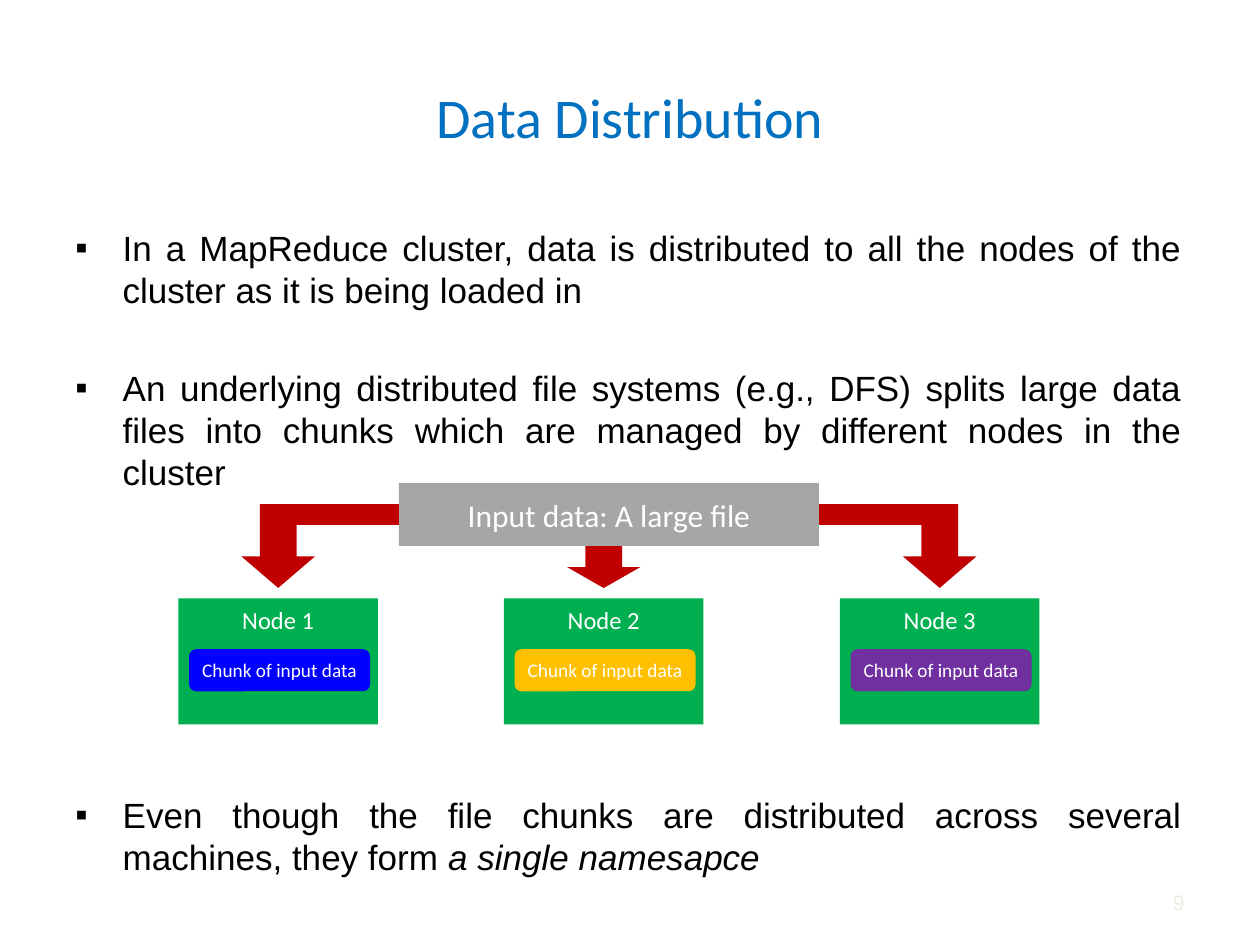
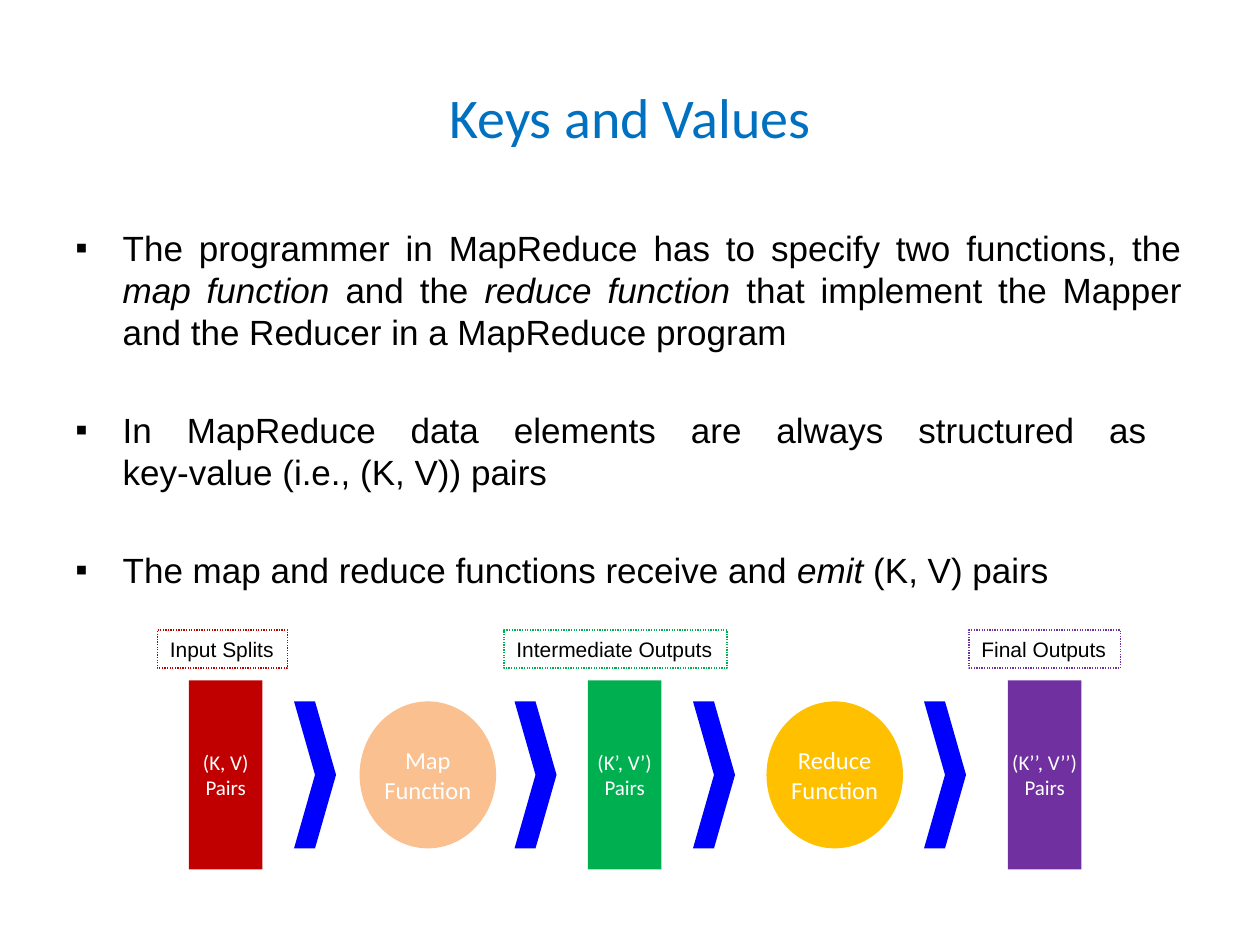
from dataclasses import dataclass
from typing import NamedTuple, Optional

from pptx import Presentation
from pptx.dml.color import RGBColor
from pptx.enum.dml import MSO_LINE
from pptx.enum.shapes import MSO_SHAPE as Preset
from pptx.enum.text import MSO_ANCHOR as Anchor, MSO_AUTO_SIZE as AutoSize, PP_ALIGN as Align
from pptx.oxml.xmlchemy import OxmlElement
from pptx.util import Pt


# Theme: colours, fonts and type sizes
@dataclass(frozen=True)
class Theme:
    heading_font: str = "Calibri"
    body_font: str = "Arial"
    title_color: str = "0070C0"
    text_color: str = "000000"
    number_color: str = "EEECE1"
    white: str = "FFFFFF"
    gray: str = "A6A6A6"
    red: str = "C00000"
    green: str = "00B050"
    blue: str = "0000FF"
    gold: str = "FFC000"
    purple: str = "7030A0"
    peach: str = "FAC090"
    title_size: float = 32
    body_size: float = 20
    source_size: float = 18
    node_size: float = 14
    label_size: float = 12
    chunk_size: float = 11
    body_line: float = 24
    bullet_indent: float = 27


THEME = Theme()


class Box(NamedTuple):
    left: float
    top: float
    width: float
    height: float

    def lengths(self) -> list:
        return [Pt(value) for value in self]


class Piece(NamedTuple):
    text: str
    italic: bool = False


class Bullet(NamedTuple):
    pieces: list
    space_before: float = 32


class Style(NamedTuple):
    size: float
    color: str = THEME.white
    font: str = THEME.heading_font


class Node(NamedTuple):
    name: str
    left: float
    chunk_color: str


class Stage(NamedTuple):
    text: str
    left: float
    preset: Preset
    color: str


class Label(NamedTuple):
    text: str
    left: float
    width: float
    color: str


TITLE_BOX = Box(36, 21.6, 648, 90)
BODY_BOX = Box(36, 126, 646.5, 356.4)
NUMBER_BOX = Box(516, 501, 168, 29)


# Text helpers
def add_run(paragraph, text: str, style: Style, italic: bool = False) -> None:
    run = paragraph.add_run()
    run.text = text
    run.font.size = Pt(style.size)
    run.font.name = style.font
    run.font.italic = italic
    run.font.color.rgb = RGBColor.from_string(style.color)


def set_bullet(paragraph) -> None:
    properties = paragraph._p.get_or_add_pPr()
    properties.set("marL", str(Pt(THEME.bullet_indent)))
    properties.set("indent", str(-Pt(THEME.bullet_indent)))
    for tag, name, value in (("a:buFont", "typeface", THEME.body_font),
                             ("a:buChar", "char", "▪")):
        element = OxmlElement(tag)
        element.set(name, value)
        properties.append(element)


def add_text_box(slide, box: Box, text: str, style: Style, align: Align):
    shape = slide.shapes.add_textbox(*box.lengths())
    paragraph = shape.text_frame.paragraphs[0]
    paragraph.alignment = align
    add_run(paragraph, text, style)
    return shape


def add_bullets(slide, bullets: list) -> None:
    frame = slide.shapes.add_textbox(*BODY_BOX.lengths()).text_frame
    frame.word_wrap = True
    style = Style(THEME.body_size, THEME.text_color, THEME.body_font)
    for index, bullet in enumerate(bullets):
        paragraph = frame.add_paragraph() if index else frame.paragraphs[0]
        paragraph.alignment = Align.JUSTIFY
        paragraph.line_spacing = Pt(THEME.body_line)
        paragraph.space_before = Pt(bullet.space_before)
        set_bullet(paragraph)
        for piece in bullet.pieces:
            for line_index, line in enumerate(piece.text.split("\n")):
                if line_index:
                    paragraph.add_line_break()
                add_run(paragraph, line, style, piece.italic)


# Shape helper
def add_block(slide, preset: Preset, box: Box, color: str, text: str = "",
              style: Optional[Style] = None, anchor: Anchor = Anchor.MIDDLE,
              side_inset: float = 0) -> None:
    shape = slide.shapes.add_shape(preset, *box.lengths())
    shape.shadow.inherit = False
    shape.fill.solid()
    shape.fill.fore_color.rgb = RGBColor.from_string(color)
    shape.line.fill.background()
    if style:
        frame = shape.text_frame
        frame.word_wrap = True
        frame.vertical_anchor = anchor
        frame.margin_left = frame.margin_right = Pt(side_inset)
        paragraph = frame.paragraphs[0]
        paragraph.alignment = Align.CENTER
        add_run(paragraph, text, style)


def add_titled_slide(presentation, title: str, bullets: list):
    slide = presentation.slides.add_slide(presentation.slide_layouts.get_by_name("Title Only"))
    shape = slide.shapes.title
    shape.left, shape.top, shape.width, shape.height = TITLE_BOX.lengths()
    shape.text_frame.vertical_anchor = Anchor.MIDDLE
    paragraph = shape.text_frame.paragraphs[0]
    paragraph.alignment = Align.CENTER
    add_run(paragraph, title, Style(THEME.title_size, THEME.title_color))
    add_bullets(slide, bullets)
    return slide


# Slide: a file split over three nodes
def build_distribution(presentation) -> None:
    slide = add_titled_slide(presentation, "Data Distribution", [
        Bullet([Piece("In a MapReduce cluster, data is distributed to all the nodes of the "
                      "cluster as it is being loaded in")], 0),
        Bullet([Piece("An underlying distributed file systems (e.g., DFS) splits large data "
                      "files into chunks which are managed by different nodes in the cluster")]),
        Bullet([Piece("Even though the file chunks are distributed across several machines, "
                      "they form "), Piece("a single namesapce", True)], 172),
    ])
    source = Box(228, 276, 240, 36)
    source_right = source.left + source.width
    source_bottom = source.top + source.height
    add_block(slide, Preset.RECTANGLE, source, THEME.gray, "Input data: A large file",
              Style(THEME.source_size))

    nodes = [Node("Node 1", 102, THEME.blue), Node("Node 2", 288, THEME.gold),
             Node("Node 3", 480, THEME.purple)]
    node_top, node_width = 342, 114
    arrow_width, arrow_bottom, bar_top, bar_height = 42, 336, 288, 12
    for node in nodes:
        add_block(slide, Preset.RECTANGLE, Box(node.left, node_top, node_width, 72), THEME.green,
                  node.name, Style(THEME.node_size), Anchor.TOP, 7.2)
        add_block(slide, Preset.ROUNDED_RECTANGLE, Box(node.left + 6, node_top + 29, 103.5, 24),
                  node.chunk_color, "Chunk of input data", Style(THEME.chunk_size))

        # Arrow, with a bar from the file to the outer edge of the shaft
        arrow_left = node.left + (node_width - arrow_width) / 2
        shaft_left = arrow_left + arrow_width / 4
        shaft_right = shaft_left + arrow_width / 2
        arrow_top = bar_top + bar_height
        if shaft_right < source.left:
            bar = Box(shaft_left, bar_top, source.left - shaft_left, bar_height)
        elif shaft_left > source_right:
            bar = Box(source_right, bar_top, shaft_right - source_right, bar_height)
        else:
            bar, arrow_top = None, source_bottom
        add_block(slide, Preset.DOWN_ARROW,
                  Box(arrow_left, arrow_top, arrow_width, arrow_bottom - arrow_top), THEME.red)
        if bar:
            add_block(slide, Preset.RECTANGLE, bar, THEME.red)

    # Slide number
    number = add_text_box(slide, NUMBER_BOX, "9",
                          Style(THEME.label_size, THEME.number_color, THEME.body_font),
                          Align.RIGHT)
    number.text_frame.word_wrap = True
    number.text_frame.vertical_anchor = Anchor.MIDDLE


# Slide: the flow of key-value pairs
def build_keys_and_values(presentation) -> None:
    slide = add_titled_slide(presentation, "Keys and Values", [
        Bullet([Piece("The programmer in MapReduce has to specify two functions, the "),
                Piece("map function ", True), Piece("and the "),
                Piece("reduce function ", True),
                Piece("that implement the Mapper and the Reducer in a MapReduce program")], 0),
        Bullet([Piece("In MapReduce data elements are always structured as \n"
                      "key-value (i.e., (K, V)) pairs")]),
        Bullet([Piece("The map and reduce functions receive and "), Piece("emit", True),
                Piece(" (K, V) pairs")]),
    ])
    sizes = {Preset.RECTANGLE: (42, 108, THEME.label_size),
             Preset.OVAL: (78, 84, THEME.node_size),
             Preset.CHEVRON: (24, 84, None)}
    stages = [
        Stage("(K, V) Pairs", 108, Preset.RECTANGLE, THEME.red),
        Stage("Map Function", 205.5, Preset.OVAL, THEME.peach),
        Stage("(K’, V’) Pairs", 336, Preset.RECTANGLE, THEME.green),
        Stage("Reduce Function", 438, Preset.OVAL, THEME.gold),
        Stage("(K’’, V’’) Pairs", 576, Preset.RECTANGLE, THEME.purple),
    ]
    stages += [Stage("", left, Preset.CHEVRON, THEME.blue) for left in (168, 294, 396, 528)]
    flow_middle = 442.8
    for stage in stages:
        width, height, text_size = sizes[stage.preset]
        add_block(slide, stage.preset, Box(stage.left, flow_middle - height / 2, width, height),
                  stage.color, stage.text, Style(text_size) if text_size else None)

    # Dotted labels above the pairs
    for label in (Label("Input Splits", 90, 74.2, THEME.red),
                  Label("Intermediate Outputs", 288, 127.5, THEME.green),
                  Label("Final Outputs", 553.7, 86.5, THEME.purple)):
        shape = add_text_box(slide, Box(label.left, 360, label.width, 21.8), label.text,
                             Style(THEME.label_size, THEME.text_color, THEME.body_font),
                             Align.LEFT)
        shape.text_frame.word_wrap = False
        shape.text_frame.auto_size = AutoSize.SHAPE_TO_FIT_TEXT
        shape.line.color.rgb = RGBColor.from_string(label.color)
        shape.line.width = Pt(0.75)
        shape.line.dash_style = MSO_LINE.ROUND_DOT


def main() -> None:
    presentation = Presentation()
    presentation.slide_width, presentation.slide_height = Pt(720), Pt(540)
    build_distribution(presentation)
    build_keys_and_values(presentation)
    presentation.save("out.pptx")


if __name__ == "__main__":
    main()
